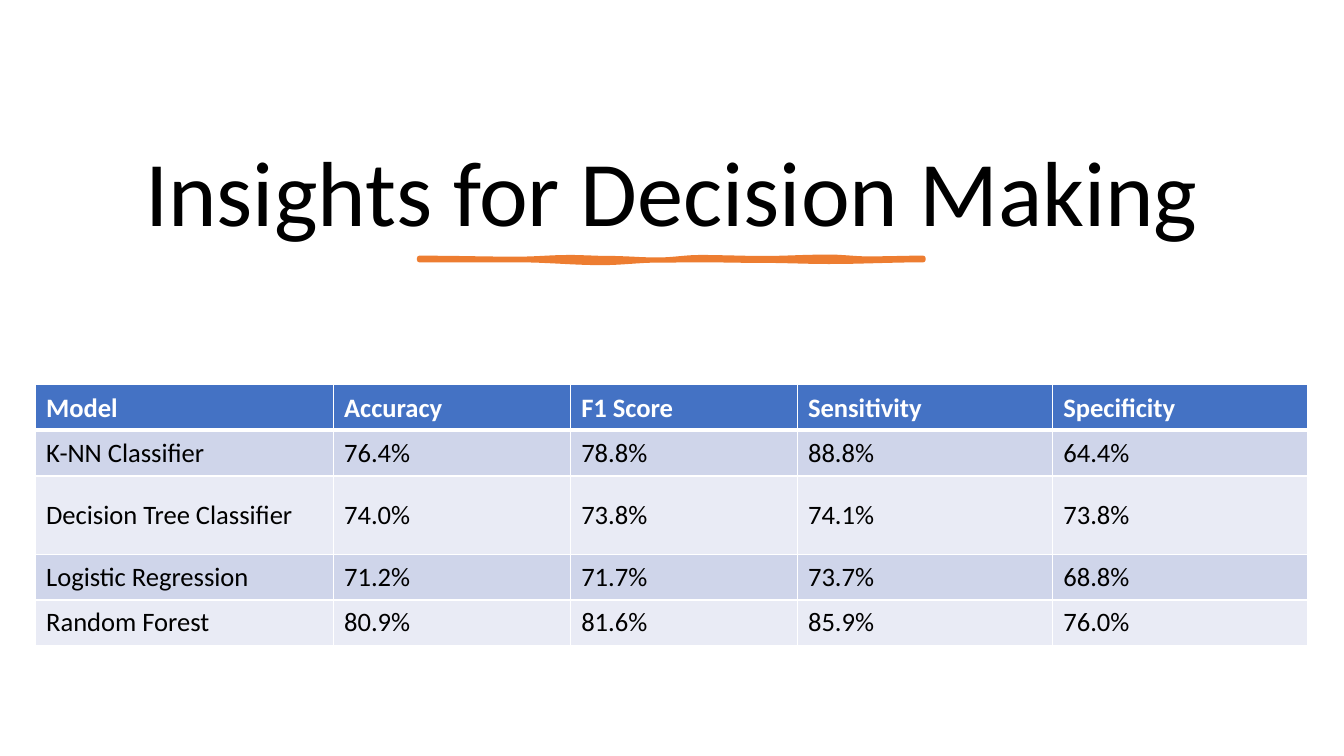
from dataclasses import dataclass
from math import cos, pi

from lxml import etree
from pptx import Presentation
from pptx.dml.color import RGBColor
from pptx.enum.text import MSO_ANCHOR, MSO_AUTO_SIZE, PP_ALIGN
from pptx.oxml.ns import qn
from pptx.util import Pt

CENTER = PP_ALIGN.CENTER
BOTTOM, MIDDLE = MSO_ANCHOR.BOTTOM, MSO_ANCHOR.MIDDLE
NO_AUTOFIT = MSO_AUTO_SIZE.NONE
FONT = "Calibri"
BLACK, WHITE, ORANGE = "000000", "FFFFFF", "ED7D31"
TITLE_ONLY = 5


@dataclass
class RowStyle:
    fill: str
    color: str
    bold: bool
    anchor: MSO_ANCHOR
    bottom_border: float


HEADER = RowStyle("4472C4", WHITE, True, BOTTOM, 3)
BANDS = (RowStyle("CFD5EA", BLACK, False, MIDDLE, 1),
         RowStyle("E9EBF5", BLACK, False, MIDDLE, 1))

METRICS = [
    ("Model", "Accuracy", "F1 Score", "Sensitivity", "Specificity"),
    ("K-NN Classifier", "76.4%", "78.8%", "88.8%", "64.4%"),
    ("Decision Tree Classifier", "74.0%", "73.8%", "74.1%", "73.8%"),
    ("Logistic Regression", "71.2%", "71.7%", "73.7%", "68.8%"),
    ("Random Forest", "80.9%", "81.6%", "85.9%", "76.0%"),
]
COL_WIDTHS = (212.8, 169.4, 162, 182.4, 182.4)
ROW_HEIGHTS = (32.7, 32.7, 55.9, 32.7, 32.7)

# Knots of the brush stroke edges, in points
STROKE_TOP = [(299.5, 184.3), (370, 185), (407, 183.8), (435, 184.5), (470, 185.6),
              (500, 183.8), (545, 184.5), (592, 183.5), (620, 184.8), (659.5, 184.3)]
STROKE_BOTTOM = [(659.5, 185.8), (592, 187), (545, 186.2), (500, 185.8),
                 (470, 186), (430, 187.8), (370, 185.8), (299.5, 185.8)]


def rgb(color: str) -> RGBColor:
    return RGBColor.from_string(color)


def format_run(r, size: float, color: str, bold: bool = False) -> None:
    r.font.name, r.font.size, r.font.bold = FONT, Pt(size), bold
    r.font.color.rgb = rgb(color)


def add_title(slide, text: str) -> None:
    sp = slide.shapes.title
    sp.left, sp.top, sp.width, sp.height = Pt(50.4), Pt(36), Pt(859), Pt(144)
    tf = sp.text_frame
    tf.text = text
    tf.word_wrap, tf.auto_size = True, NO_AUTOFIT
    tf.vertical_anchor = BOTTOM
    p = tf.paragraphs[0]
    p.alignment, p.line_spacing = CENTER, 0.9
    format_run(p.runs[0], 66, BLACK)


def smooth_edge(knots: list, steps: int = 8) -> list:
    """Ease between neighbouring knots along a cosine."""
    points = []
    for (x0, y0), (x1, y1) in zip(knots, knots[1:]):
        for i in range(steps):
            t = i / steps
            ease = (1 - cos(pi * t)) / 2
            points.append((Pt(x0 + (x1 - x0) * t), Pt(y0 + (y1 - y0) * ease)))
    x, y = knots[-1]
    return points + [(Pt(x), Pt(y))]


def add_brush_stroke(slide) -> None:
    outline = smooth_edge(STROKE_TOP) + smooth_edge(STROKE_BOTTOM)
    builder = slide.shapes.build_freeform(*outline[0])
    builder.add_line_segments(outline[1:], close=True)
    sp = builder.convert_to_shape()
    sp.shadow.inherit = False
    sp.fill.solid()
    sp.fill.fore_color.rgb = rgb(ORANGE)
    sp.line.color.rgb = rgb(ORANGE)
    sp.line.width = Pt(3.25)
    etree.SubElement(sp.line._get_or_add_ln(), qn("a:round"))


def set_borders(cell, top: float, bottom: float) -> None:
    tc_pr = cell._tc.get_or_add_tcPr()
    sides = (("L", 1), ("R", 1), ("T", top), ("B", bottom))
    for index, (side, width) in enumerate(sides):
        ln = etree.Element(qn(f"a:ln{side}"), w=str(Pt(width)))
        fill = etree.SubElement(ln, qn("a:solidFill"))
        etree.SubElement(fill, qn("a:srgbClr"), val=WHITE)
        tc_pr.insert(index, ln)


def fill_cell(cell, text: str, style: RowStyle, top_border: float) -> None:
    cell.fill.solid()
    cell.fill.fore_color.rgb = rgb(style.fill)
    cell.vertical_anchor = style.anchor
    cell.margin_left = cell.margin_right = Pt(7.6)
    cell.margin_top = cell.margin_bottom = Pt(3.8)
    cell.text_frame.text = text
    format_run(cell.text_frame.paragraphs[0].runs[0], 19, style.color, style.bold)
    set_borders(cell, top_border, style.bottom_border)


def add_metrics_table(slide) -> None:
    frame = slide.shapes.add_table(len(METRICS), len(COL_WIDTHS), Pt(25.4), Pt(274.6),
                                   Pt(sum(COL_WIDTHS)), Pt(sum(ROW_HEIGHTS)))
    table = frame.table
    for column, width in zip(table.columns, COL_WIDTHS):
        column.width = Pt(width)
    top_border = 1
    for i, (row, height) in enumerate(zip(table.rows, ROW_HEIGHTS)):
        row.height = Pt(height)
        style = BANDS[(i - 1) % 2] if i else HEADER
        for cell, text in zip(row.cells, METRICS[i]):
            fill_cell(cell, text, style, top_border)
        top_border = style.bottom_border


def main() -> None:
    prs = Presentation()
    prs.slide_width, prs.slide_height = Pt(960), Pt(540)
    slide = prs.slides.add_slide(prs.slide_layouts[TITLE_ONLY])
    add_title(slide, "Insights for Decision Making")
    add_brush_stroke(slide)
    add_metrics_table(slide)
    prs.save("out.pptx")


if __name__ == "__main__":
    main()
